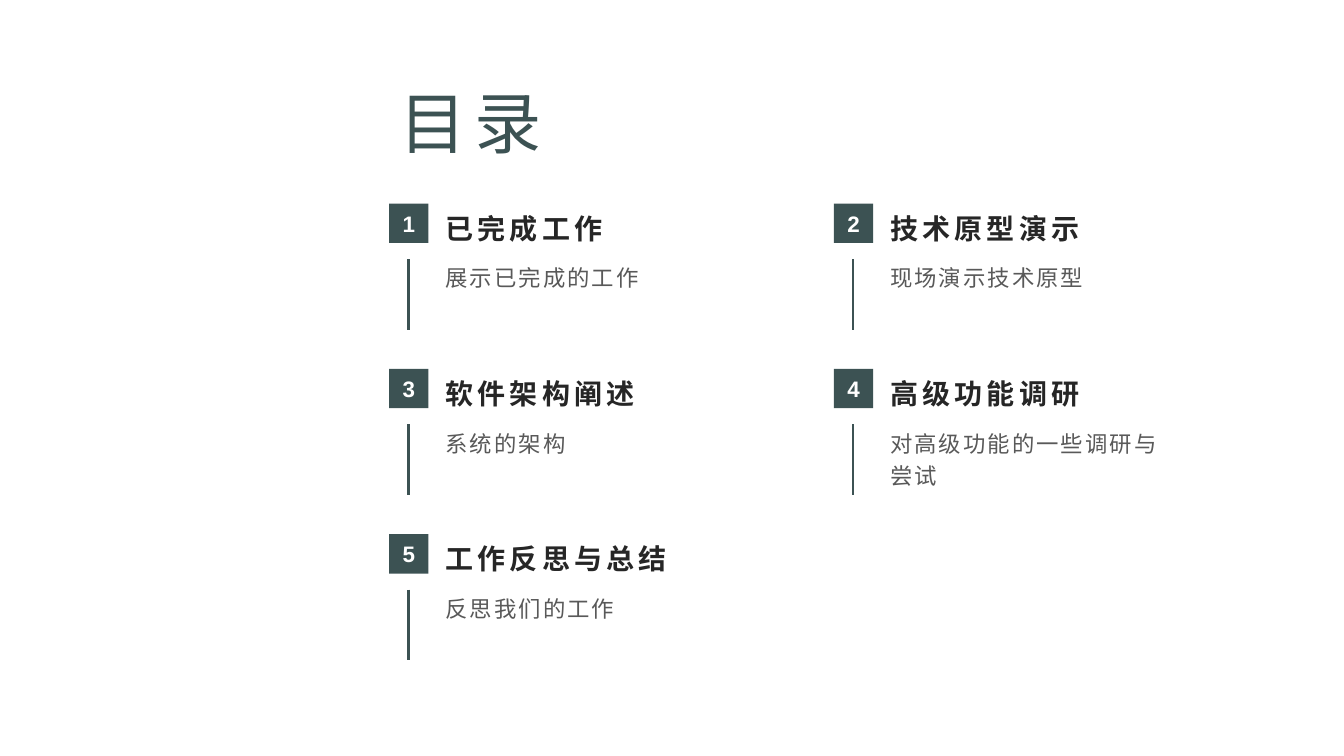
from dataclasses import dataclass

from lxml.etree import SubElement
from pptx import Presentation
from pptx.dml.color import RGBColor
from pptx.enum.shapes import MSO_CONNECTOR, MSO_SHAPE
from pptx.enum.text import MSO_ANCHOR as Anchor, MSO_AUTO_SIZE as AutoSize, PP_ALIGN as Align
from pptx.oxml.ns import qn
from pptx.shapes.base import BaseShape
from pptx.slide import Slide
from pptx.util import Pt

PX = 9144  # EMU per px, 100 px to the inch


@dataclass(frozen=True)
class TextStyle:
    size: int
    color: RGBColor
    bold: bool = False
    tracking: int = 0  # hundredths of a point
    line_spacing: float = 1.0
    align: Align = Align.LEFT
    anchor: Anchor = Anchor.MIDDLE
    margins: tuple[int, int, int, int] = (10, 5, 10, 5)  # left, top, right, bottom


@dataclass(frozen=True)
class Theme:
    font: str = "Arial"
    accent: RGBColor = RGBColor(0x3C, 0x52, 0x53)
    heading: RGBColor = RGBColor(0x26, 0x26, 0x26)
    body: RGBColor = RGBColor(0x59, 0x59, 0x59)
    white: RGBColor = RGBColor(0xFF, 0xFF, 0xFF)
    rule_width: int = 2


@dataclass(frozen=True)
class AgendaItem:
    heading: str
    detail: str


THEME = Theme()
TITLE = TextStyle(48, THEME.accent, tracking=600, line_spacing=1.1)
NUMBER = TextStyle(16, THEME.white, bold=True, align=Align.CENTER, margins=(5, 5, 5, 5))
HEADING = TextStyle(20, THEME.heading, bold=True, tracking=300,
                    anchor=Anchor.BOTTOM, margins=(10, 5, 10, 0))
DETAIL = TextStyle(16, THEME.body, tracking=150, line_spacing=1.2,
                   anchor=Anchor.TOP, margins=(10, 0, 10, 5))

ITEMS = (
    AgendaItem("已完成工作", "展示已完成的工作"),
    AgendaItem("技术原型演示", "现场演示技术原型"),
    AgendaItem("软件架构阐述", "系统的架构"),
    AgendaItem("高级功能调研", "对高级功能的一些调研与尝试"),
    AgendaItem("工作反思与总结", "反思我们的工作"),
)
COLUMNS = 2
GRID_LEFT, GRID_TOP = 386, 202
COLUMN_PITCH, ROW_PITCH = 441, 164
BADGE = 39
TEXT_OFFSET, TEXT_WIDTH = 46, 296
DETAIL_OFFSET, RULE_LENGTH = 55, 70


def emu(*lengths: int) -> list[int]:
    return [length * PX for length in lengths]


def write(shape: BaseShape, text: str, style: TextStyle) -> None:
    frame = shape.text_frame
    left, top, right, bottom = emu(*style.margins)
    frame_format = {
        "word_wrap": True, "auto_size": AutoSize.NONE, "vertical_anchor": style.anchor,
        "margin_left": left, "margin_top": top,
        "margin_right": right, "margin_bottom": bottom,
    }
    paragraph = frame.paragraphs[0]
    paragraph_format = {
        "alignment": style.align, "line_spacing": style.line_spacing,
        "space_before": Pt(0), "space_after": Pt(0),
    }
    run = paragraph.add_run()
    run.text = text
    font_format = {"name": THEME.font, "size": Pt(style.size), "bold": style.bold}
    for target, values in ((frame, frame_format), (paragraph, paragraph_format),
                           (run.font, font_format)):
        for name, value in values.items():
            setattr(target, name, value)
    run.font.color.rgb = style.color
    properties = run._r.get_or_add_rPr()
    properties.set("lang", "zh-CN")
    properties.set("spc", str(style.tracking))


def add_title(slide: Slide, text: str) -> None:
    title = slide.shapes.title
    title.left, title.top, title.width, title.height = emu(386, 67, 767, 99)
    write(title, text, TITLE)


def add_text(slide: Slide, left: int, top: int, height: int, text: str, style: TextStyle) -> None:
    write(slide.shapes.add_textbox(*emu(left, top, TEXT_WIDTH, height)), text, style)


def add_badge(slide: Slide, left: int, top: int, number: int) -> None:
    badge = slide.shapes.add_shape(MSO_SHAPE.RECTANGLE, *emu(left, top, BADGE, BADGE))
    badge.shadow.inherit = False
    badge.fill.solid()
    badge.fill.fore_color.rgb = THEME.accent
    badge.line.fill.background()
    write(badge, str(number), NUMBER)


def add_rule(slide: Slide, x: int, top: int) -> None:
    """Draw the vertical line below a badge."""
    rule = slide.shapes.add_connector(MSO_CONNECTOR.STRAIGHT,
                                      *emu(x, top, x, top + RULE_LENGTH))
    rule.line.color.rgb = THEME.accent
    rule.line.width = Pt(THEME.rule_width)
    SubElement(rule._element.spPr, qn("a:effectLst"))


def add_agenda_item(slide: Slide, index: int, item: AgendaItem) -> None:
    row, column = divmod(index, COLUMNS)
    left = GRID_LEFT + column * COLUMN_PITCH
    top = GRID_TOP + row * ROW_PITCH
    add_rule(slide, left + BADGE // 2, top + DETAIL_OFFSET)
    add_badge(slide, left, top, index + 1)
    add_text(slide, left + TEXT_OFFSET, top - 1, 42, item.heading, HEADING)
    add_text(slide, left + TEXT_OFFSET, top + DETAIL_OFFSET, 77, item.detail, DETAIL)


def main() -> None:
    presentation = Presentation()
    presentation.slide_width, presentation.slide_height = emu(1333, 750)
    slide = presentation.slides.add_slide(presentation.slide_layouts.get_by_name("Title Only"))
    add_title(slide, "目录")
    for index, item in enumerate(ITEMS):
        add_agenda_item(slide, index, item)
    presentation.save("out.pptx")


if __name__ == "__main__":
    main()
